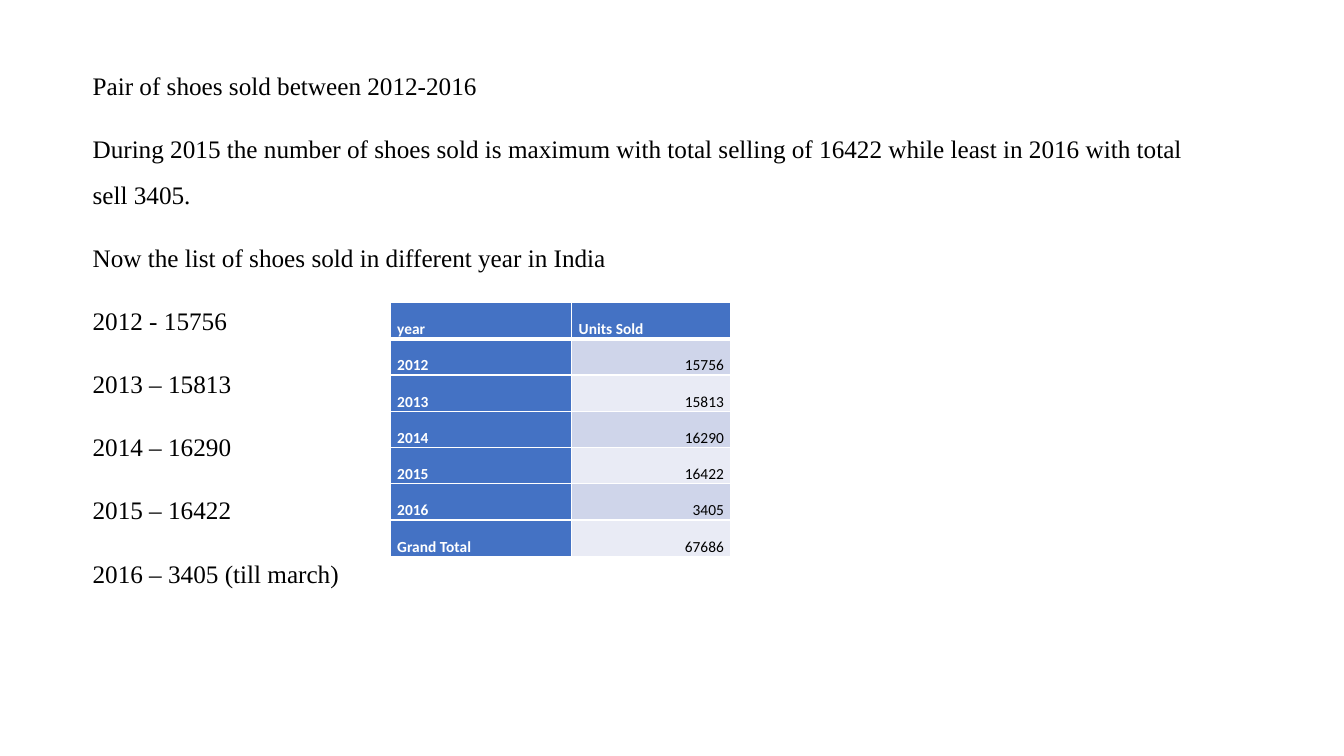
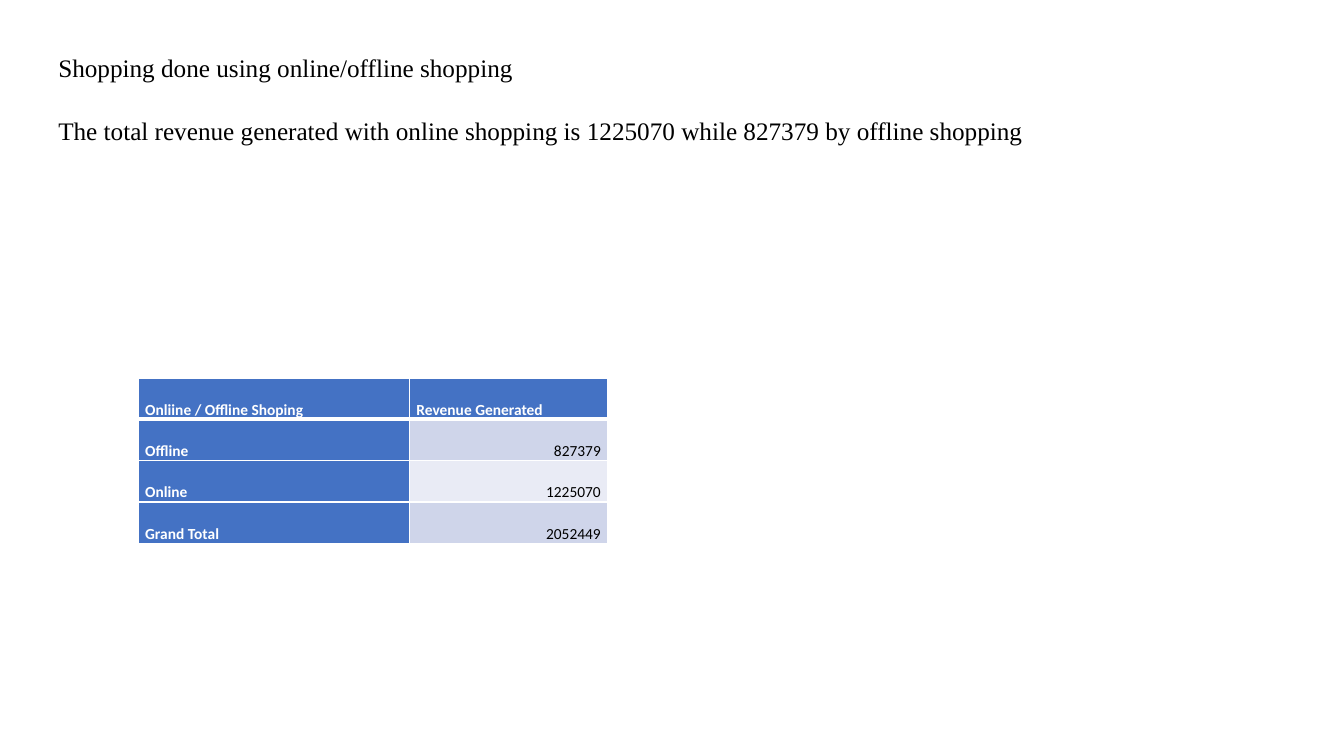
from dataclasses import dataclass

from lxml.etree import SubElement
from pptx import Presentation
from pptx.dml.color import RGBColor
from pptx.enum.text import MSO_ANCHOR, PP_ALIGN
from pptx.oxml.ns import qn
from pptx.slide import Slide
from pptx.table import _Cell as Cell
from pptx.text.text import _Paragraph as Paragraph
from pptx.util import Inches, Pt

BLUE = "4472C4"
BANDS = ("CFD5EA", "E9EBF5")
WHITE = "FFFFFF"
BLACK = "000000"
BODY_FONT = "Times New Roman"
TABLE_FONT = "Calibri"


@dataclass(frozen=True)
class Narrative:
    left: float
    top: float
    width: float
    height: float
    lines: tuple[str, ...]


@dataclass(frozen=True)
class Summary:
    left: float
    top: float
    column_widths: tuple[float, ...]
    row_height: float
    rows: tuple[tuple[str, str], ...]


@dataclass(frozen=True)
class Page:
    narrative: Narrative
    summary: Summary


PAGES = (
    Page(
        Narrative(0.82, 0.5, 11.19, 5.41, (
            "Pair of shoes sold between 2012-2016",
            "During 2015 the number of shoes sold is maximum with total selling "
            "of 16422 while least in 2016 with total sell 3405.",
            "Now the list of shoes sold in different year in India",
            "2012 - 15756",
            "2013 – 15813",
            "2014 – 16290",
            "2015 – 16422",
            "2016 – 3405 (till march)",
        )),
        Summary(3.87, 3, (1.8, 1.58), 0.36, (
            ("year", "Units Sold"),
            ("2012", "15756"),
            ("2013", "15813"),
            ("2014", "16290"),
            ("2015", "16422"),
            ("2016", "3405"),
            ("Grand Total", "67686"),
        )),
    ),
    Page(
        Narrative(0.48, 0.32, 10.9, 1.14, (
            "Shopping done using online/offline shopping",
            "The total revenue generated with online shopping is 1225070 "
            "while 827379 by offline shopping",
        )),
        Summary(1.37, 3.75, (2.69, 1.97), 0.41, (
            ("Onliine / Offline Shoping", "Revenue Generated"),
            ("Offline", "827379"),
            ("Online", "1225070"),
            ("Grand Total", "2052449"),
        )),
    ),
)


def color(value: str) -> RGBColor:
    return RGBColor.from_string(value)


def add_text(paragraph: Paragraph, text: str, font: str, size: float,
             ink: str, bold: bool = False) -> None:
    run = paragraph.add_run()
    run.text = text
    run.font.name = font
    run.font.size = Pt(size)
    run.font.bold = bold
    run.font.color.rgb = color(ink)


def add_narrative(slide: Slide, narrative: Narrative) -> None:
    frame = slide.shapes.add_textbox(
        Inches(narrative.left), Inches(narrative.top),
        Inches(narrative.width), Inches(narrative.height)).text_frame
    frame.word_wrap = True
    for index, line in enumerate(narrative.lines):
        paragraph = frame.add_paragraph() if index else frame.paragraphs[0]
        paragraph.line_spacing = 1.5
        paragraph.space_before = Pt(12.7)
        add_text(paragraph, line, BODY_FONT, 18, BLACK)


def set_borders(cell: Cell, top: float, bottom: float) -> None:
    properties = cell._tc.get_or_add_tcPr()
    widths = {"a:lnL": 1, "a:lnR": 1, "a:lnT": top, "a:lnB": bottom}
    for position, (side, width) in enumerate(widths.items()):
        border = properties.makeelement(qn(side), {"w": str(Pt(width))})
        fill = SubElement(border, qn("a:solidFill"))
        SubElement(fill, qn("a:srgbClr"), val=WHITE)
        properties.insert(position, border)


def fill_cell(cell: Cell, text: str, row: int, column: int) -> None:
    is_heading = row == 0 or column == 0
    cell.fill.solid()
    cell.fill.fore_color.rgb = color(BLUE if is_heading else BANDS[(row - 1) % 2])
    cell.vertical_anchor = MSO_ANCHOR.BOTTOM
    cell.margin_left = cell.margin_right = Inches(0.07)
    cell.margin_top = cell.margin_bottom = 0
    set_borders(cell, top=3 if row == 1 else 1, bottom=3 if row == 0 else 1)
    paragraph = cell.text_frame.paragraphs[0]
    paragraph.line_spacing = 1.15
    paragraph.alignment = PP_ALIGN.LEFT if is_heading else PP_ALIGN.RIGHT
    add_text(paragraph, text, TABLE_FONT, 11,
             WHITE if is_heading else BLACK, is_heading)


def add_summary(slide: Slide, summary: Summary) -> None:
    row_count = len(summary.rows)
    table = slide.shapes.add_table(
        row_count, len(summary.column_widths),
        Inches(summary.left), Inches(summary.top),
        Inches(sum(summary.column_widths)),
        Inches(summary.row_height * row_count)).table
    for column, width in zip(table.columns, summary.column_widths):
        column.width = Inches(width)
    for row, texts in enumerate(summary.rows):
        table.rows[row].height = Inches(summary.row_height)
        for column, text in enumerate(texts):
            fill_cell(table.cell(row, column), text, row, column)


def main() -> None:
    deck = Presentation()
    deck.slide_width = Inches(13.33)
    deck.slide_height = Inches(7.5)
    for page in PAGES:
        slide = deck.slides.add_slide(deck.slide_layouts[6])
        add_narrative(slide, page.narrative)
        add_summary(slide, page.summary)
    deck.save("out.pptx")


if __name__ == "__main__":
    main()
